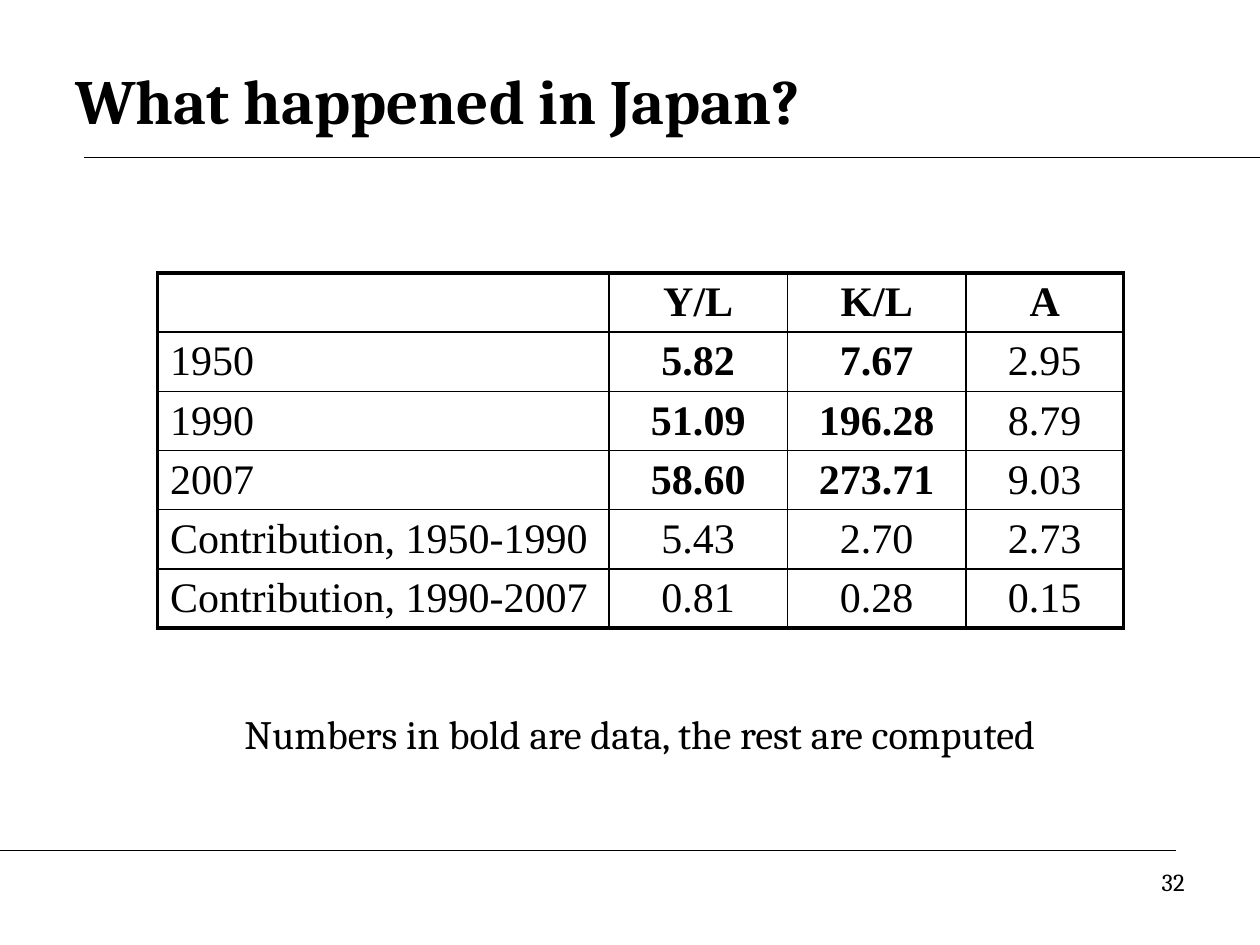
from dataclasses import dataclass

import pptx
import pptx.dml.color
import pptx.enum.shapes
import pptx.enum.text
import pptx.oxml
import pptx.oxml.ns
import pptx.util

ALIGN = pptx.enum.text.PP_ALIGN
ANCHOR = pptx.enum.text.MSO_ANCHOR
COLS, ROWS = 120, 90  # slide grid


@dataclass(frozen=True)
class Theme:
    ink: str = "000000"
    serif: str = "Cambria"
    roman: str = "Times New Roman"
    title: int = 36
    cell: int = 24
    note: int = 23
    page: int = 14
    rule: float = 0.75
    thin: float = 1
    thick: float = 2.25


@dataclass(frozen=True)
class Label:
    text: str
    left: int
    top: int
    width: int
    height: int
    size: int
    align: ALIGN
    anchor: ANCHOR = ANCHOR.TOP
    bold: bool = False


@dataclass(frozen=True)
class Rule:
    start: int
    end: int
    row: int


THEME = Theme()
LABELS = [
    Label("What happened in Japan?", 6, 4, 108, 11, THEME.title, ALIGN.LEFT, ANCHOR.MIDDLE, True),
    Label("Numbers in bold are data, the rest are computed", 8, 67, 106, 11, THEME.note, ALIGN.CENTER),
    Label("32", 86, 82, 28, 6, THEME.page, ALIGN.RIGHT),
]
RULES = [Rule(8, COLS, 15), Rule(0, 112, 81)]
WIDTHS = [43, 17, 17, 15]
DATA = [
    ["", "Y/L", "K/L", "A"],
    ["1950", "5.82", "7.67", "2.95"],
    ["1990", "51.09", "196.28", "8.79"],
    ["2007", "58.60", "273.71", "9.03"],
    ["Contribution, 1950-1990", "5.43", "2.70", "2.73"],
    ["Contribution, 1990-2007", "0.81", "0.28", "0.15"],
]

deck = pptx.Presentation()
deck.slide_width = pptx.util.Inches(10)
deck.slide_height = pptx.util.Inches(7.5)


def across(cols: float) -> int:
    return round(deck.slide_width * cols / COLS)


def down(rows: float) -> int:
    return round(deck.slide_height * rows / ROWS)


def apply(target, values: dict) -> None:
    for name, value in values.items():
        setattr(target, name, value)


def ink() -> pptx.dml.color.RGBColor:
    return pptx.dml.color.RGBColor.from_string(THEME.ink)


def write(frame, text: str, face: str, size: int, bold: bool, align: ALIGN) -> None:
    para = frame.paragraphs[0]
    para.alignment = align
    run = para.add_run()
    run.text = text
    apply(run.font, {"name": face, "size": pptx.util.Pt(size), "bold": bold})
    run.font.color.rgb = ink()


def draw_label(slide, item: Label) -> None:
    box = slide.shapes.add_textbox(
        across(item.left), down(item.top), across(item.width), down(item.height))
    apply(box.text_frame, {"word_wrap": True, "vertical_anchor": item.anchor})
    write(box.text_frame, item.text, THEME.serif, item.size, item.bold, item.align)


def draw_rule(slide, item: Rule) -> None:
    line = slide.shapes.add_connector(
        pptx.enum.shapes.MSO_CONNECTOR.STRAIGHT,
        across(item.start), down(item.row), across(item.end), down(item.row))
    line.line.width = pptx.util.Pt(THEME.rule)
    line.line.color.rgb = ink()
    line._element.spPr.append(pptx.oxml.parse_xml(
        f'<a:effectLst {pptx.oxml.ns.nsdecls("a")}/>'))


def draw_edges(cell, outer: dict[str, bool]) -> None:
    """Give each side a thick line where it is an outer edge of the table."""
    props = cell._tc.get_or_add_tcPr()
    for side, edge in outer.items():
        width = pptx.util.Pt(THEME.thick if edge else THEME.thin)
        props.append(pptx.oxml.parse_xml(
            f'<a:ln{side} {pptx.oxml.ns.nsdecls("a")} w="{width}"><a:solidFill>'
            f'<a:srgbClr val="{THEME.ink}"/></a:solidFill></a:ln{side}>'))


def draw_table(slide) -> None:
    high, last = len(DATA), len(WIDTHS) - 1
    step = 5.64
    table = slide.shapes.add_table(
        high, len(WIDTHS), across(15), down(26),
        across(sum(WIDTHS)), down(step * high)).table
    apply(table, {"first_row": False, "horz_banding": False})
    for col, width in zip(table.columns, WIDTHS):
        col.width = across(width)
    pad = pptx.util.Inches(0.04)
    for r, line in enumerate(DATA):
        table.rows[r].height = down(step)
        for c, text in enumerate(line):
            cell = table.cell(r, c)
            apply(cell, {"vertical_anchor": ANCHOR.MIDDLE,
                         "margin_top": pad, "margin_bottom": pad})
            draw_edges(cell, {"L": c == 0, "R": c == last,
                              "T": r == 0, "B": r == high - 1})
            cell.fill.background()
            if text:
                bold = r == 0 or (r <= 3 and c in (1, 2))
                align = ALIGN.CENTER if c else ALIGN.LEFT
                write(cell.text_frame, text, THEME.roman, THEME.cell, bold, align)


def main() -> None:
    slide = deck.slides.add_slide(deck.slide_layouts[6])
    for rule in RULES:
        draw_rule(slide, rule)
    draw_table(slide)
    for label in LABELS:
        draw_label(slide, label)
    deck.save("out.pptx")


if __name__ == "__main__":
    main()
